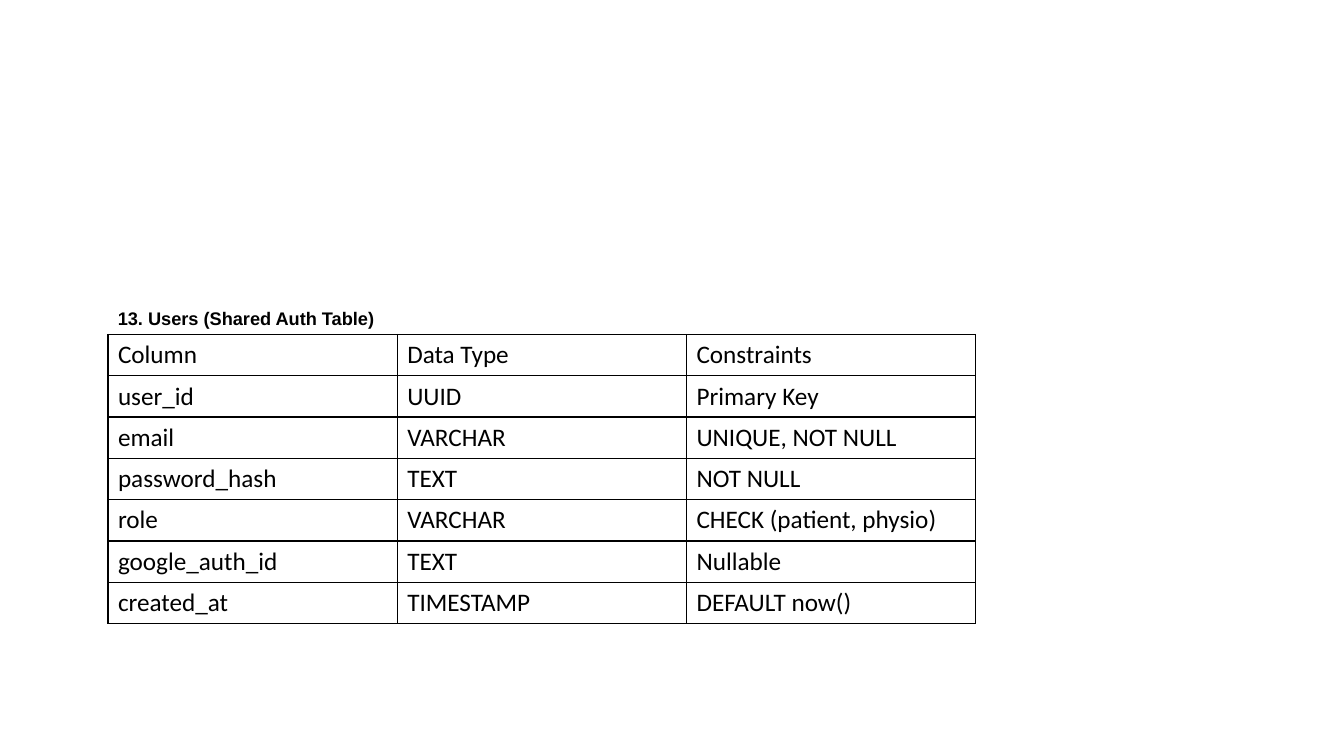
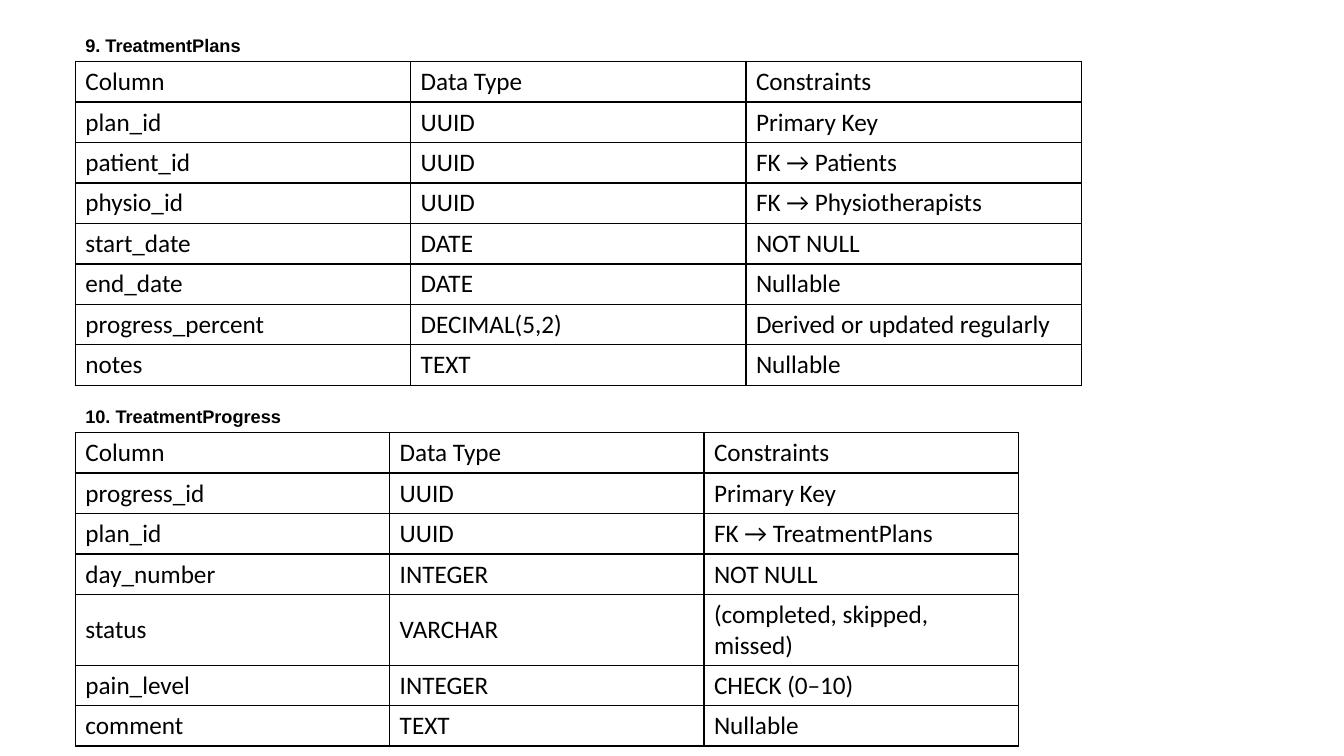
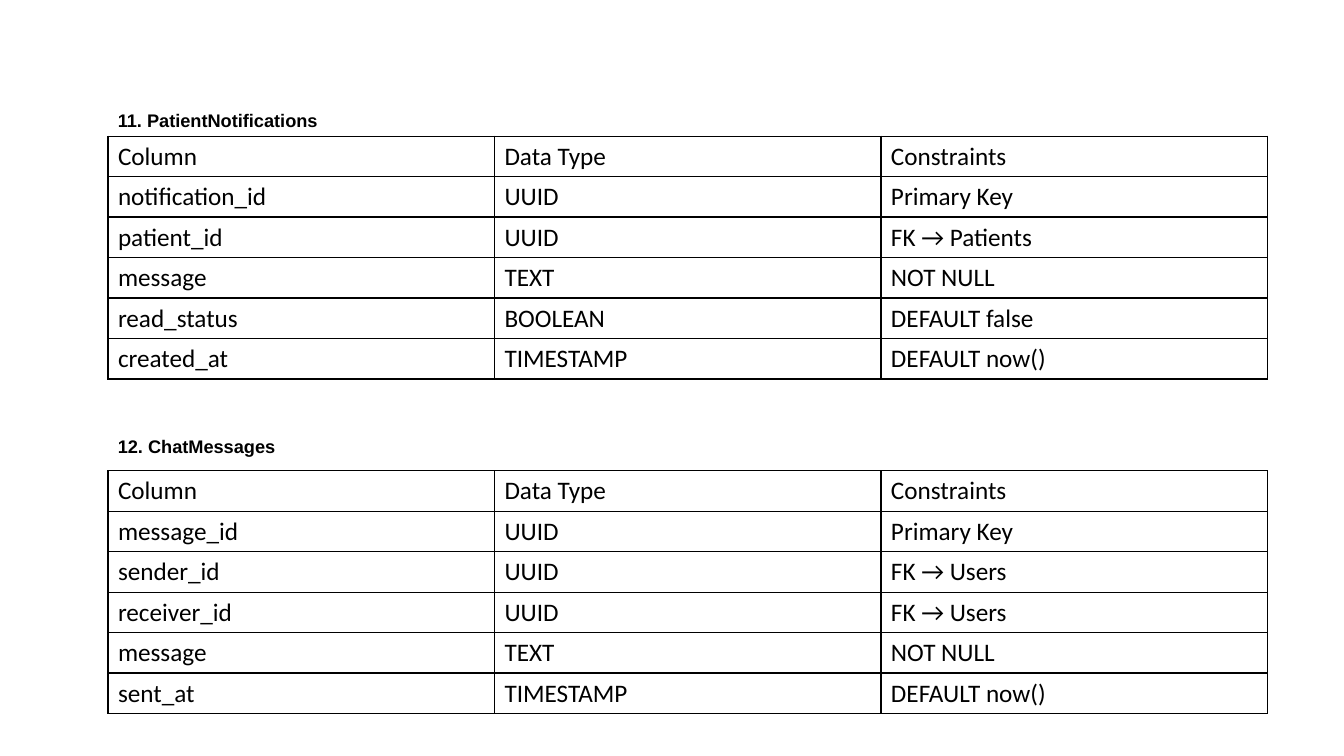
"""Build three slides of database table definitions."""
from pptx import Presentation
from pptx.dml.color import RGBColor as RGB
from pptx.enum.text import MSO_ANCHOR as ANCHOR, MSO_AUTO_SIZE as AUTO
from pptx.oxml.ns import qn
from pptx.util import Cm, Pt
from lxml.etree import SubElement

COLORS = {"ink": "000000", "border": "000000"}
HEADER = ("Column", "Data Type", "Constraints")
BORDER_PT = 1
CAPTION_H = 0.81
ROW_H = 1.02
TALL_ROW_H = 1.78

USERS = [
    ("user_id", "UUID", "Primary Key"),
    ("email", "VARCHAR", "UNIQUE, NOT NULL"),
    ("password_hash", "TEXT", "NOT NULL"),
    ("role", "VARCHAR", "CHECK (patient, physio)"),
    ("google_auth_id", "TEXT", "Nullable"),
    ("created_at", "TIMESTAMP", "DEFAULT now()"),
]
PLANS = [
    ("plan_id", "UUID", "Primary Key"),
    ("patient_id", "UUID", "FK → Patients"),
    ("physio_id", "UUID", "FK → Physiotherapists"),
    ("start_date", "DATE", "NOT NULL"),
    ("end_date", "DATE", "Nullable"),
    ("progress_percent", "DECIMAL(5,2)", "Derived or updated regularly"),
    ("notes", "TEXT", "Nullable"),
]
PROGRESS = [
    ("progress_id", "UUID", "Primary Key"),
    ("plan_id", "UUID", "FK → TreatmentPlans"),
    ("day_number", "INTEGER", "NOT NULL"),
    ("status", "VARCHAR", "(completed, skipped, missed)"),
    ("pain_level", "INTEGER", "CHECK (0–10)"),
    ("comment", "TEXT", "Nullable"),
]
NOTIFICATIONS = [
    ("notification_id", "UUID", "Primary Key"),
    ("patient_id", "UUID", "FK → Patients"),
    ("message", "TEXT", "NOT NULL"),
    ("read_status", "BOOLEAN", "DEFAULT false"),
    ("created_at", "TIMESTAMP", "DEFAULT now()"),
]
MESSAGES = [
    ("message_id", "UUID", "Primary Key"),
    ("sender_id", "UUID", "FK → Users"),
    ("receiver_id", "UUID", "FK → Users"),
    ("message", "TEXT", "NOT NULL"),
    ("sent_at", "TIMESTAMP", "DEFAULT now()"),
]


def add_run(p, text, font, size, bold=False):
    r = p.add_run()
    r.text = text
    r.font.name = font
    r.font.size = Pt(size)
    r.font.bold = bold
    r.font.color.rgb = RGB.from_string(COLORS["ink"])


def set_borders(cell):
    tc_pr = cell._tc.get_or_add_tcPr()
    for side in ("lnL", "lnR", "lnT", "lnB"):
        ln = SubElement(tc_pr, qn(f"a:{side}"), w=str(Pt(BORDER_PT)))
        fill = SubElement(ln, qn("a:solidFill"))
        SubElement(fill, qn("a:srgbClr"), val=COLORS["border"])


def add_caption(s, text, left, top, width):
    sp = s.shapes.add_textbox(Cm(left), Cm(top), Cm(width), Cm(CAPTION_H))
    tf = sp.text_frame
    tf.word_wrap = False
    tf.auto_size = AUTO.SHAPE_TO_FIT_TEXT
    tf.vertical_anchor = ANCHOR.MIDDLE
    add_run(tf.paragraphs[0], text, "Arial", 13, bold=True)


def add_grid(s, fields, left, top, col_w, row_h=ROW_H, tall_field=None):
    rows = [HEADER, *fields]
    heights = [TALL_ROW_H if row[0] == tall_field else row_h for row in rows]
    frame = s.shapes.add_table(len(rows), len(HEADER), Cm(left), Cm(top),
                               Cm(col_w * len(HEADER)), Cm(sum(heights)))
    table = frame.table
    table.first_row = False
    table.horz_banding = False
    for col in table.columns:
        col.width = Cm(col_w)
    for row, height, texts in zip(table.rows, heights, rows):
        row.height = Cm(height)
        for cell, text in zip(row.cells, texts):
            set_borders(cell)
            cell.fill.background()
            cell.vertical_anchor = ANCHOR.MIDDLE
            add_run(cell.text_frame.paragraphs[0], text, "Calibri", 18)


def add_entity(s, title, title_w, fields, left, top, col_w, gap=0, **options):
    add_grid(s, fields, left, top, col_w, **options)
    add_caption(s, title, left, top - CAPTION_H - gap, title_w)


def main():
    prs = Presentation()
    prs.slide_width, prs.slide_height = Cm(33.87), Cm(19.05)
    blank = prs.slide_layouts[6]

    s = prs.slides.add_slide(blank)
    add_entity(s, "13. Users (Shared Auth Table)", 7.06, USERS,
               2.72, 8.43, 7.29, row_h=1.04)

    s = prs.slides.add_slide(blank)
    add_entity(s, "9. TreatmentPlans", 4.5, PLANS, 1.9, 1.55, 8.45)
    add_entity(s, "10. TreatmentProgress", 5.51, PROGRESS,
               1.9, 10.9, 7.92, tall_field="status")

    s = prs.slides.add_slide(blank)
    add_entity(s, "11. PatientNotifications", 5.64, NOTIFICATIONS,
               2.72, 3.43, 9.74)
    add_entity(s, "12. ChatMessages", 4.55, MESSAGES,
               2.72, 11.86, 9.74, gap=0.2)

    prs.save("out.pptx")


if __name__ == "__main__":
    main()
